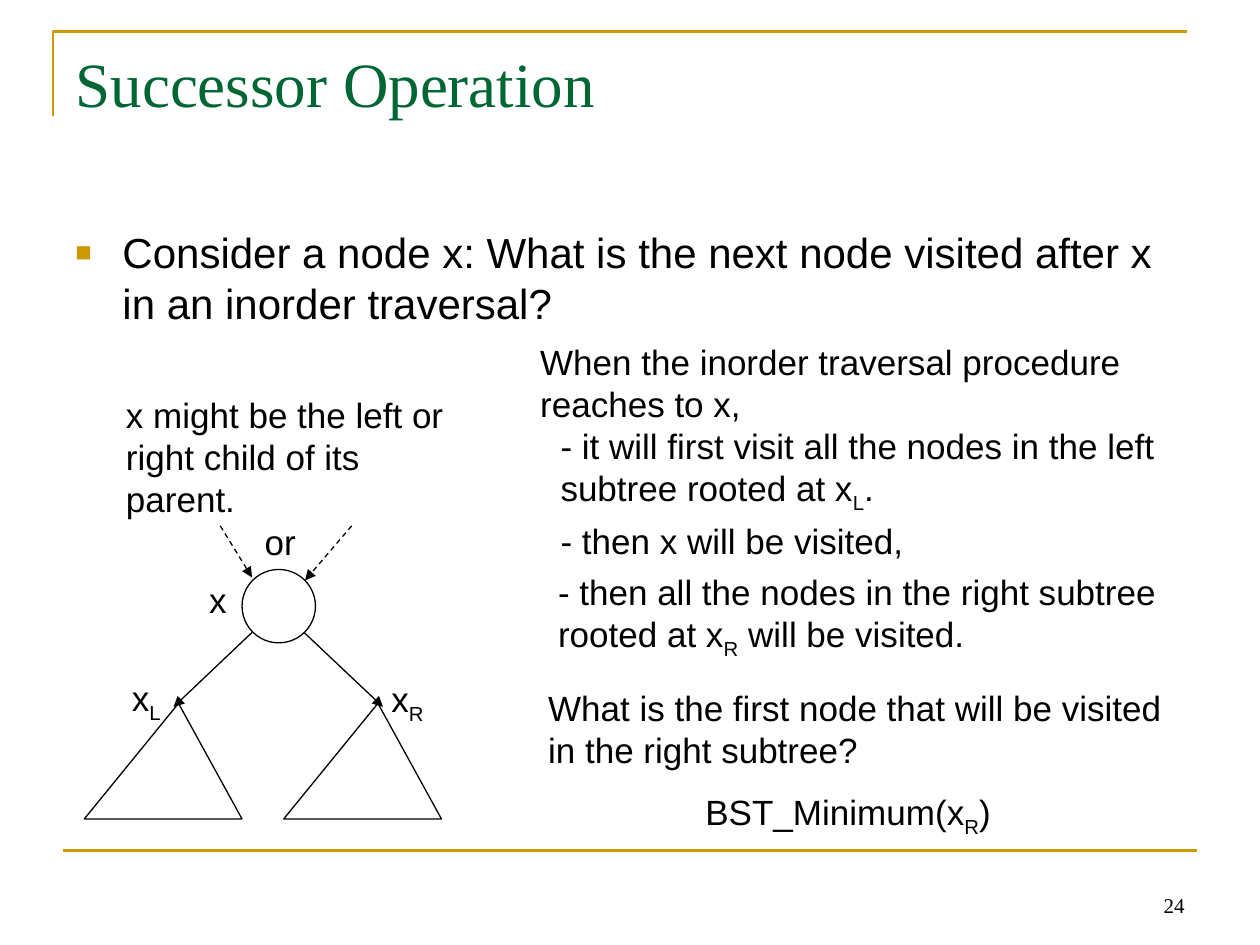
import pptx
import pptx.util
import pptx.dml.color
import pptx.enum.dml
import pptx.enum.shapes
import pptx.enum.text
import pptx.oxml
import pptx.oxml.ns
from pptx.util import Cm

COLORS = {"ink": "000000", "gold": "CC9900", "green": "006633"}
Align = pptx.enum.text.PP_ALIGN
Anchor = pptx.enum.text.MSO_ANCHOR


def add_text(box, paragraphs, size=20, font="Arial", color="ink", align=Align.LEFT,
             anchor=Anchor.TOP, wrap=True):
    """Fill a box; each paragraph is a list of runs, every second one a subscript."""
    frame = box.text_frame
    frame.word_wrap = wrap
    frame.vertical_anchor = anchor
    for number, runs in enumerate(paragraphs):
        paragraph = frame.add_paragraph() if number else frame.paragraphs[0]
        paragraph.alignment = align
        for index, words in enumerate(runs):
            run = paragraph.add_run()
            run.text = words
            run.font.size = pptx.util.Pt(size)
            run.font.name = font
            run.font.color.rgb = pptx.dml.color.RGBColor.from_string(COLORS[color])
            if index % 2:
                run._r.get_or_add_rPr().set("baseline", "-25000")


def style_line(shape, color="ink", width=0.75, dashed=False, arrow=False):
    shape.line.color.rgb = pptx.dml.color.RGBColor.from_string(COLORS[color])
    shape.line.width = pptx.util.Pt(width)
    if dashed:
        shape.line.dash_style = pptx.enum.dml.MSO_LINE.DASH
    if arrow:
        tail = pptx.oxml.parse_xml(
            f'<a:tailEnd {pptx.oxml.ns.nsdecls("a")} type="triangle"/>')
        shape.line._get_or_add_ln().append(tail)
    if hasattr(shape, "shadow"):
        shape.shadow.inherit = False
    else:
        shape._element.spPr.append(
            pptx.oxml.parse_xml(f'<a:effectLst {pptx.oxml.ns.nsdecls("a")}/>'))


deck = pptx.Presentation()
deck.slide_width, deck.slide_height = Cm(25.4), Cm(19.05)
slide = deck.slides.add_slide(deck.slide_layouts[5])
shapes = slide.shapes
straight = pptx.enum.shapes.MSO_CONNECTOR.STRAIGHT

# Gold frame and slide number
corner_path = shapes.build_freeform(Cm(1.07), Cm(2.33))
corner_path.add_line_segments([(Cm(1.07), Cm(0.64)), (Cm(23.92), Cm(0.64))], close=False)
corner = corner_path.convert_to_shape()
corner.fill.background()
style_line(corner, "gold", 1.5)
footer_rule = shapes.add_connector(straight, Cm(1.27), Cm(17.15), Cm(24.13), Cm(17.15))
style_line(footer_rule, "gold", 1.5)
page_number = shapes.add_textbox(Cm(18.2), Cm(17.36), Cm(5.93), Cm(1.27))
add_text(page_number, [["24"]], 12, "Times New Roman", align=Align.RIGHT,
         anchor=Anchor.BOTTOM)

# Title and question
title = shapes.title
title.left, title.top, title.width, title.height = Cm(1.27), Cm(0.76), Cm(22.86), Cm(3.18)
add_text(title, [["Successor Operation"]], 36, "Times New Roman", "green")

question = shapes.add_textbox(Cm(1.27), Cm(4.45), Cm(22.86), Cm(12.57))
bullet = question.text_frame.paragraphs[0]._p.get_or_add_pPr()
bullet.set("marL", str(Cm(0.95)))
bullet.set("indent", str(Cm(-0.95)))
for xml in (f'<a:buClr {{ns}}><a:srgbClr val="{COLORS["gold"]}"/></a:buClr>',
            '<a:buSzPct {ns} val="65000"/>',
            '<a:buFont {ns} typeface="Arial"/>',
            '<a:buChar {ns} char="■"/>'):
    bullet.append(pptx.oxml.parse_xml(xml.format(ns=pptx.oxml.ns.nsdecls("a"))))
add_text(question, [["Consider a node x: What is the next node visited after x "
                     "in an inorder traversal?"]], 24)

# Tree: node x, its two subtrees and the arrows
node = shapes.add_shape(pptx.enum.shapes.MSO_SHAPE.OVAL,
                        Cm(4.88), Cm(11.48), Cm(1.48), Cm(1.48))
node.fill.background()
style_line(node)

for left in (1.7, 5.72):
    apex = (Cm(left + 1.9), Cm(14.18))
    subtree_path = shapes.build_freeform(*apex)
    subtree_path.add_line_segments([(Cm(left), Cm(16.51)), (Cm(left + 3.18), Cm(16.51))])
    subtree = subtree_path.convert_to_shape()
    subtree.fill.background()
    style_line(subtree)

for x1, y1, x2, y2, from_parent in (
        (5.08, 12.75, 3.5, 14.25, False),
        (6.13, 12.75, 7.72, 14.25, False),
        (4.44, 10.6, 5.08, 11.64, True),
        (7.09, 10.6, 6.15, 11.7, True)):
    edge = shapes.add_connector(straight, Cm(x1), Cm(y1), Cm(x2), Cm(y2))
    style_line(edge, dashed=from_parent, arrow=True)

for left, top, width, runs in (
        (3.96, 11.53, 0.87, ["x"]),
        (2.39, 13.51, 1.12, ["x", "L"]),
        (7.62, 13.54, 1.19, ["x", "R"]),
        (5.08, 10.36, 1.14, ["or"])):
    label = shapes.add_textbox(Cm(left), Cm(top), Cm(width), Cm(1.09))
    add_text(label, [runs], align=Align.CENTER, wrap=False)

# Explanation
for left, top, width, height, paragraphs in (
        (2.29, 7.8, 7.6, 1.96,
         [["x might be the left or"], ["right child of its parent."]]),
        (10.64, 6.73, 13.28, 1.96,
         [["When the inorder traversal procedure"], ["reaches to x,"]]),
        (11.05, 8.43, 13.28, 1.96,
         [["- it will first visit all the nodes in the left subtree rooted at x", "L", "."]]),
        (11.05, 10.34, 13.28, 1.09, [["- then x will be visited,"]]),
        (11, 11.38, 13.28, 1.96,
         [["- then all the nodes in the right subtree rooted at x", "R",
           " will be visited."]]),
        (10.8, 13.72, 13.28, 1.96,
         [["What is the first node that will be visited in the right subtree?"]]),
        (13.97, 15.82, 6.73, 1.09, [["BST_Minimum(x", "R", ")"]])):
    step = shapes.add_textbox(Cm(left), Cm(top), Cm(width), Cm(height))
    add_text(step, paragraphs)

deck.save("out.pptx")
